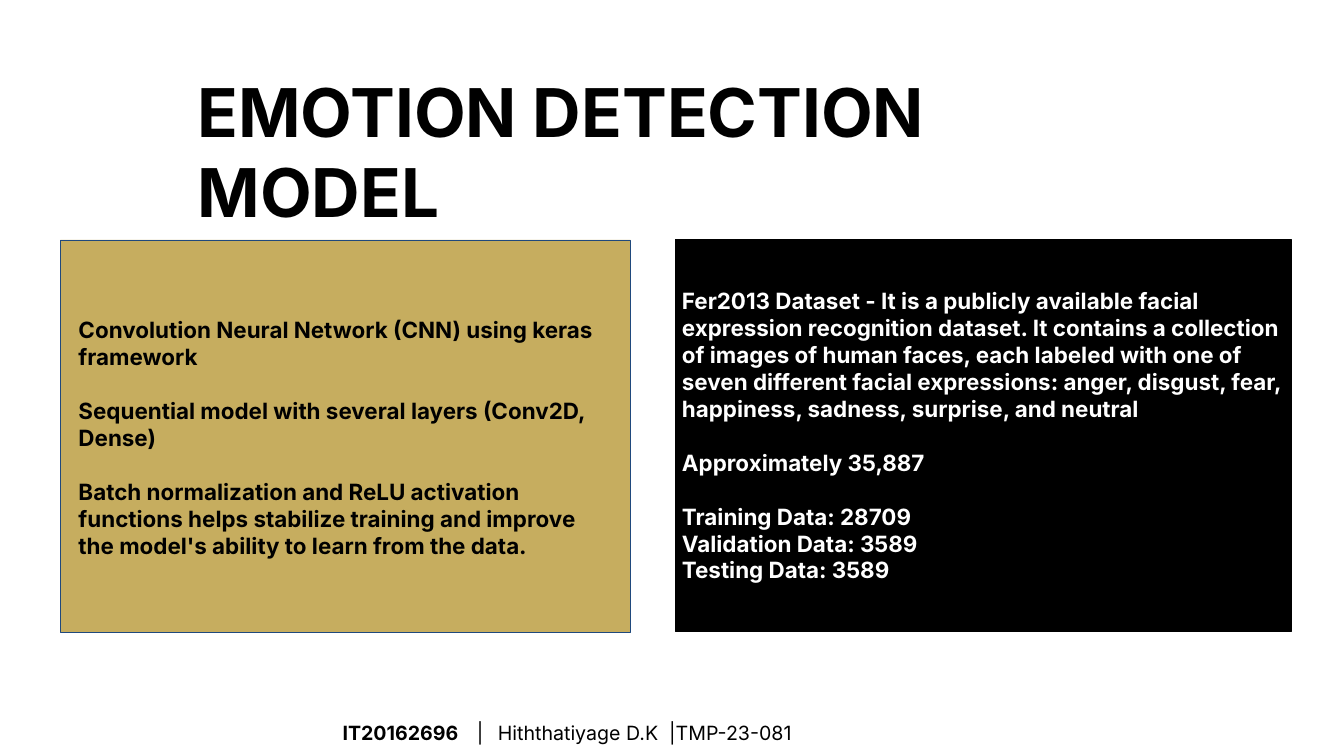
from lxml.etree import SubElement
from pptx import Presentation
from pptx.dml.color import RGBColor
from pptx.enum.shapes import MSO_SHAPE
from pptx.enum.text import MSO_ANCHOR, PP_ALIGN
from pptx.oxml.ns import qn
from pptx.util import Inches, Pt

BLACK = RGBColor(0x00, 0x00, 0x00)
WHITE = RGBColor(0xFF, 0xFF, 0xFF)
GOLD = RGBColor(0xC6, 0xAD, 0x5F)
NAVY = RGBColor(0x1F, 0x49, 0x7D)
FONT = "Inter"
BLANK_LINE = 29

TITLE = [("EMOTION DETECTION MODEL", 0)]
MODEL_POINTS = [
    ("Convolution Neural Network (CNN) using keras framework", BLANK_LINE),
    ("Sequential model with several layers (Conv2D, Dense)", BLANK_LINE),
    ("Batch normalization and ReLU activation functions helps stabilize training "
     "and improve the model's ability to learn from the data.", 0),
]
DATASET_POINTS = [
    ("Fer2013 Dataset - It is a publicly available facial expression recognition "
     "dataset. It contains a collection of images of human faces, each labeled with "
     "one of seven different facial expressions: anger, disgust, fear, happiness, "
     "sadness, surprise, and neutral", BLANK_LINE),
    ("Approximately 35,887", BLANK_LINE),
    ("Training Data: 28709", 0),
    ("Validation Data: 3589", 0),
    ("Testing Data: 3589", 0),
]
STUDENT_ID = "IT20162696"
STUDENT_DETAILS = "\t|\tHiththatiyage D.K\t|TMP-23-081"
FOOTER_TABS = (2, 2.31, 4.86)


def prepare_frame(shape, anchor=MSO_ANCHOR.TOP):
    frame = shape.text_frame
    frame.word_wrap = True
    frame.vertical_anchor = anchor
    frame.margin_left = frame.margin_right = Inches(0.1)
    frame.margin_top = frame.margin_bottom = Inches(0.1)
    return frame


def style_font(font, size, color):
    font.name = FONT
    font.size = Pt(size)
    font.color.rgb = color


def write_paragraphs(frame, content, size, color):
    for index, (text, space_after) in enumerate(content):
        paragraph = frame.add_paragraph() if index else frame.paragraphs[0]
        paragraph.text = text
        paragraph.alignment = PP_ALIGN.LEFT
        paragraph.space_after = Pt(space_after)
        style_font(paragraph.font, size, color)
        paragraph.font.bold = True


def add_text(slide, box, content, size):
    shape = slide.shapes.add_textbox(*map(Inches, box))
    write_paragraphs(prepare_frame(shape), content, size, BLACK)


def add_panel(slide, box, fill, line):
    panel = slide.shapes.add_shape(MSO_SHAPE.RECTANGLE, *map(Inches, box))
    panel.shadow.inherit = False
    panel.fill.solid()
    panel.fill.fore_color.rgb = fill
    panel.line.color.rgb = line
    panel.line.width = Pt(0.75)
    return panel


def add_footer(slide, box):
    shape = slide.shapes.add_textbox(*map(Inches, box))
    paragraph = prepare_frame(shape).paragraphs[0]
    paragraph.line_spacing = 1.15
    tabs = SubElement(paragraph._p.get_or_add_pPr(), qn("a:tabLst"))
    for position in FOOTER_TABS:
        SubElement(tabs, qn("a:tab"), pos=str(Inches(position)), algn="l")
    style_font(paragraph.font, 21, BLACK)
    for text, bold in ((STUDENT_ID, True), (STUDENT_DETAILS, False)):
        run = paragraph.add_run()
        run.text = text
        run.font.bold = bold


def main():
    presentation = Presentation()
    presentation.slide_width = Inches(20)
    presentation.slide_height = Inches(11.25)
    slide = presentation.slides.add_slide(presentation.slide_layouts[6])

    add_text(slide, (2.84, 0.94, 14.73, 2.63), TITLE, 72)
    add_panel(slide, (0.9, 3.57, 8.48, 5.84), GOLD, NAVY)
    dataset_panel = add_panel(slide, (10.05, 3.56, 9.16, 5.84), BLACK, BLACK)
    dataset_frame = prepare_frame(dataset_panel, MSO_ANCHOR.MIDDLE)
    write_paragraphs(dataset_frame, DATASET_POINTS, 24, WHITE)
    add_text(slide, (1.07, 4.61, 8.13, 4.65), MODEL_POINTS, 24)
    add_footer(slide, (5, 10.57, 9.16, 0.56))

    presentation.save("out.pptx")


if __name__ == "__main__":
    main()
